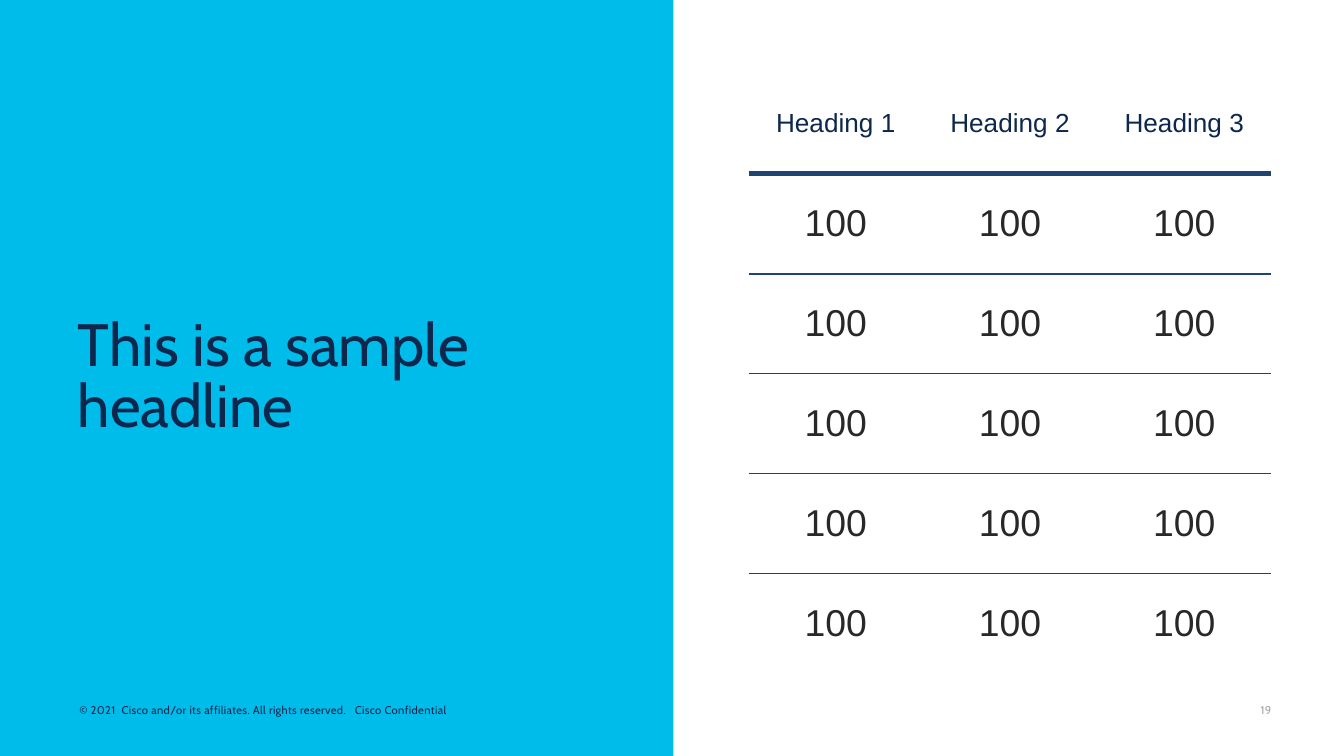
from lxml.etree import SubElement
from pptx import Presentation
from pptx.dml.color import RGBColor
from pptx.enum.shapes import MSO_SHAPE
from pptx.enum.text import MSO_ANCHOR, PP_ALIGN
from pptx.oxml import parse_xml
from pptx.oxml.ns import nsdecls, qn
from pptx.util import Inches, Pt

COLORS = {"sky": "00BCEB", "navy": "0D274D", "rule": "1E4471",
          "ink": "282828", "gray": "A6A6A6"}
NO_GRID = "{2D5ABB26-0587-4C30-8999-92F81FD0307C}"


def add_run(para, text, font, size, color):
    run = para.add_run()
    run.text = text
    run.font.name = font
    run.font.size = Pt(size)
    run.font.color.rgb = RGBColor.from_string(COLORS[color])
    return run


def add_edge(cell, tag, width):
    """Draw one border of a cell; call for lnT before lnB."""
    line = parse_xml(
        f'<a:{tag} {nsdecls("a")} w="{Pt(width)}" cap="flat" cmpd="sng" algn="ctr">'
        f'<a:solidFill><a:srgbClr val="{COLORS["rule"]}"/></a:solidFill>'
        f'<a:prstDash val="solid"/></a:{tag}>')
    props = cell._tc.get_or_add_tcPr()
    props.insert(len(props.findall(qn("a:lnT"))), line)


prs = Presentation()
prs.slide_width = Inches(10)
prs.slide_height = prs.slide_width * 9 // 16
slide = prs.slides.add_slide(prs.slide_layouts[6])
shapes = slide.shapes

# Left panel
panel = shapes.add_shape(MSO_SHAPE.RECTANGLE, 0, 0, Inches(5.01), prs.slide_height)
panel.shadow.inherit = False
panel.fill.solid()
panel.fill.fore_color.rgb = RGBColor.from_string(COLORS["sky"])
panel.line.fill.background()

# Footer and page number
notice = ("© 2021  Cisco and/or its affiliates. All rights reserved.   "
          "Cisco Confidential")
for text, left, width, color, wrap in [(notice, 0.52, 3.9, "navy", True),
                                       ("19", 9.31, 0.24, "gray", False)]:
    box = shapes.add_textbox(Inches(left), Inches(5.19), Inches(width), Inches(0.17))
    frame = box.text_frame
    frame.word_wrap = wrap
    frame.vertical_anchor = MSO_ANCHOR.BOTTOM
    frame.margin_left = frame.margin_right = Inches(0.07)
    frame.margin_top = frame.margin_bottom = Inches(0.03)
    run = add_run(frame.paragraphs[0], text, "Cabin", 6, color)
    run.font._element.set("spc", "20")

# Headline
title = shapes.add_textbox(Inches(0.48), Inches(1.82), Inches(4.17), Inches(1.99))
frame = title.text_frame
frame.word_wrap = True
frame.vertical_anchor = MSO_ANCHOR.MIDDLE
para = frame.paragraphs[0]
para.line_spacing = 0.85
add_run(para, "This is a sample headline", "Cabin", 32, "navy")

# Table with rules between its rows
rows = [[f"Heading {n}" for n in (1, 2, 3)]] + [["100"] * 3] * 5
table = shapes.add_table(len(rows), 3, Inches(5.57), Inches(0.55),
                         Inches(3.89), Inches(4.46)).table
table.first_row = table.horz_banding = False
props = table._tbl.tblPr
style = props.find(qn("a:tableStyleId"))
if style is None:
    style = SubElement(props, qn("a:tableStyleId"))
style.text = NO_GRID

rules = [3] + [1] * (len(rows) - 2)
for r, row in enumerate(rows):
    size, color = (14, "navy") if r == 0 else (20, "ink")
    for c, text in enumerate(row):
        cell = table.cell(r, c)
        cell.fill.background()
        cell.vertical_anchor = MSO_ANCHOR.MIDDLE
        para = cell.text_frame.paragraphs[0]
        para.alignment = PP_ALIGN.CENTER
        add_run(para, text, "Arial", size, color)
        if r > 0:
            add_edge(cell, "lnT", rules[r - 1])
        if r < len(rules):
            add_edge(cell, "lnB", rules[r])

prs.save("out.pptx")
